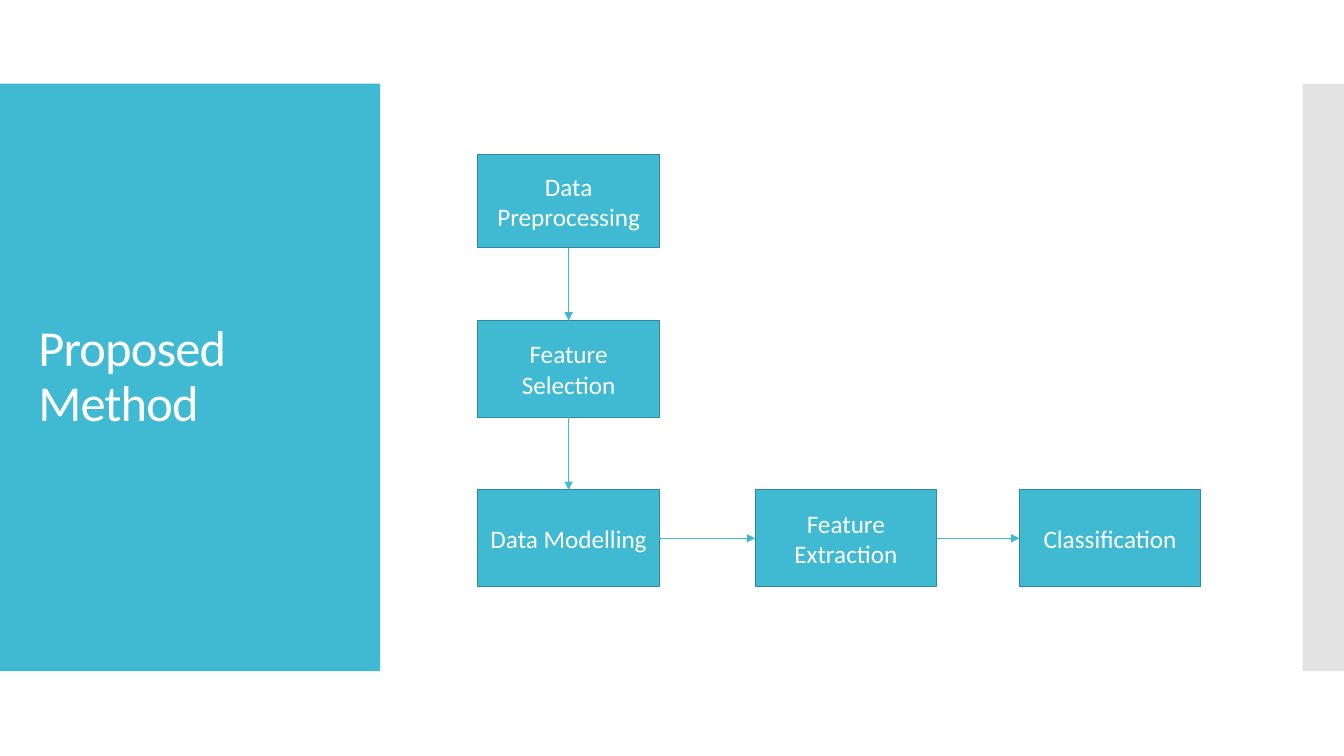
from lxml import etree
from pptx import Presentation
from pptx.dml.color import RGBColor
from pptx.enum.shapes import MSO_CONNECTOR, MSO_SHAPE
from pptx.enum.text import MSO_ANCHOR, PP_ALIGN
from pptx.oxml.ns import qn
from pptx.util import Inches, Pt

RECT = MSO_SHAPE.RECTANGLE
STRAIGHT = MSO_CONNECTOR.STRAIGHT
MIDDLE = MSO_ANCHOR.MIDDLE
LEFT, CENTER = PP_ALIGN.LEFT, PP_ALIGN.CENTER

TEAL = RGBColor(0x40, 0xBA, 0xD2)
DARK_TEAL = RGBColor(0x2F, 0x8A, 0x9B)
GRAY = RGBColor(0xC8, 0xC8, 0xC8)
WHITE = RGBColor(0xFF, 0xFF, 0xFF)

TOP_SITE, LEFT_SITE, BOTTOM_SITE, RIGHT_SITE = range(4)
COLS = [4.74, 7.49, 10.11]
ROWS = [(1.53, 0.93), (3.18, 0.96), (4.86, 0.96)]
BOX_W = 1.8
STEPS = [
    ("Data Preprocessing", 0, 0),
    ("Feature Selection", 0, 1),
    ("Data Modelling", 0, 2),
    ("Feature Extraction", 1, 2),
    ("Classification", 2, 2),
]


def add_rect(s, x, y, w, h, color):
    sp = s.shapes.add_shape(RECT, Inches(x), Inches(y), Inches(w), Inches(h))
    sp.shadow.inherit = False
    sp.fill.solid()
    sp.fill.fore_color.rgb = color
    sp.line.fill.background()
    return sp


def set_text(sp, text, size, align):
    tf = sp.text_frame
    tf.text = text
    tf.word_wrap = True
    tf.vertical_anchor = MIDDLE
    p = tf.paragraphs[0]
    p.alignment = align
    r = p.runs[0]
    r.font.name = "Calibri"
    r.font.size = Pt(size)
    r.font.color.rgb = WHITE
    return p


prs = Presentation()
prs.slide_width, prs.slide_height = Inches(13.33), Inches(7.5)
s = prs.slides.add_slide(prs.slide_layouts[5])

title = s.shapes.title
title.left, title.top = Inches(0.28), Inches(1.23)
title.width, title.height = Inches(3.22), Inches(5.03)
p = set_text(title, "Proposed Method", 36, LEFT)
p.line_spacing = 0.9
p.runs[0].font._element.set("spc", "-60")

panel = add_rect(s, 0, 0.83, 3.77, 5.83, TEAL)
strip = add_rect(s, 12.92, 0.83, 0.41, 5.83, GRAY)
strip_color = strip.element.spPr.find(qn("a:solidFill"))[0]
etree.SubElement(strip_color, qn("a:alpha")).set("val", "50000")
for sp in (panel, strip):
    title.element.addprevious(sp.element)

boxes = []
for text, col, row in STEPS:
    y, h = ROWS[row]
    sp = add_rect(s, COLS[col], y, BOX_W, h, TEAL)
    sp.line.color.rgb = DARK_TEAL
    sp.line.width = Pt(0.85)
    set_text(sp, text, 18, CENTER)
    boxes.append(sp)

for start, end in zip(boxes, boxes[1:]):
    down = start.left == end.left
    arrow = s.shapes.add_connector(STRAIGHT, 0, 0, 0, 0)
    arrow.begin_connect(start, BOTTOM_SITE if down else RIGHT_SITE)
    arrow.end_connect(end, TOP_SITE if down else LEFT_SITE)
    arrow.line.color.rgb = TEAL
    arrow.line.width = Pt(0.75)
    ln = arrow.line._get_or_add_ln()
    etree.SubElement(ln, qn("a:tailEnd")).set("type", "triangle")
    etree.SubElement(arrow.element.spPr, qn("a:effectLst"))

prs.save("out.pptx")
